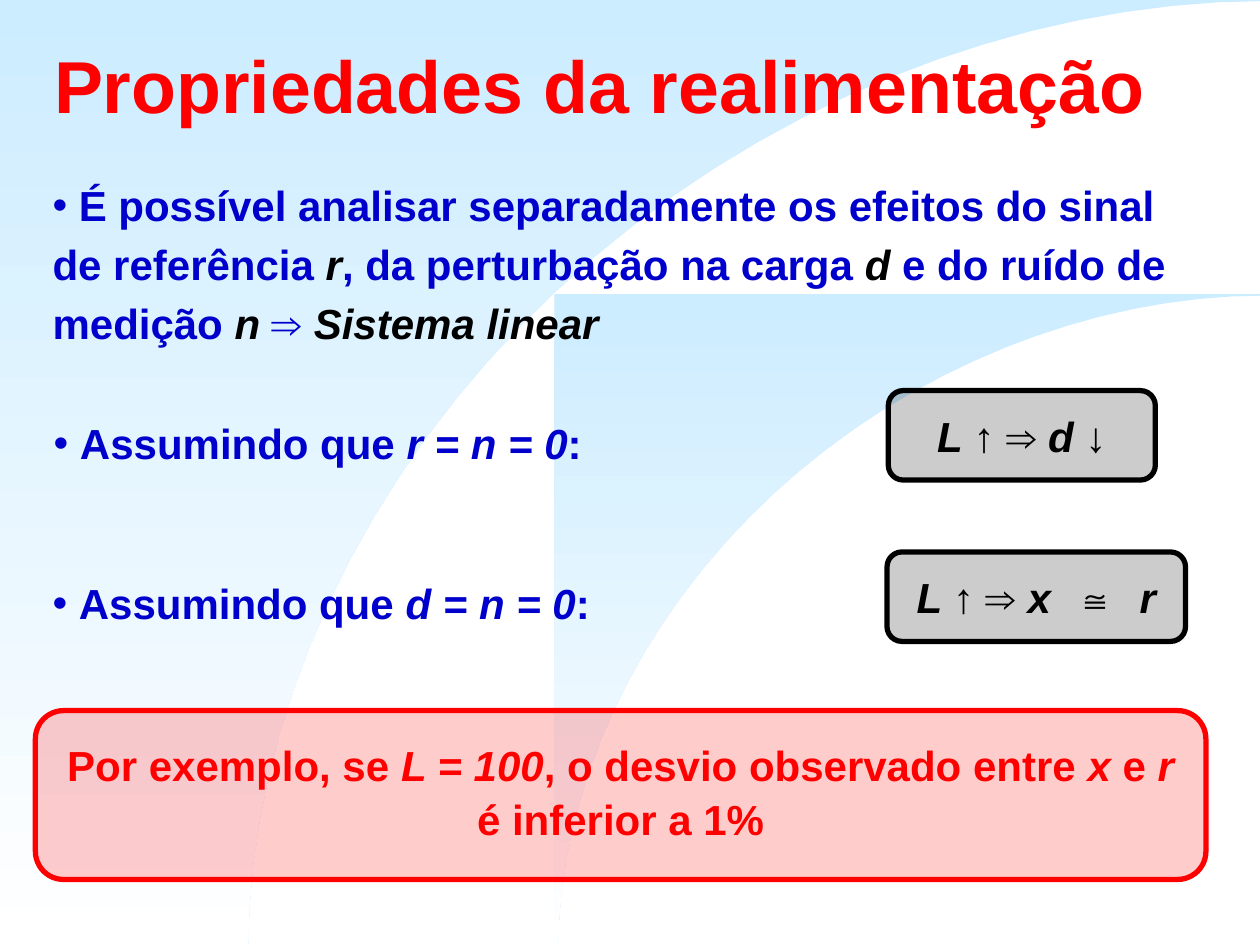
from math import cos, pi, sin

from lxml import etree
from pptx import Presentation
from pptx.dml.color import RGBColor
from pptx.enum.shapes import MSO_SHAPE
from pptx.enum.text import MSO_ANCHOR, PP_ALIGN
from pptx.oxml.ns import qn
from pptx.util import Pt

ROUNDED = MSO_SHAPE.ROUNDED_RECTANGLE
MIDDLE = MSO_ANCHOR.MIDDLE
CENTER = PP_ALIGN.CENTER
COLORS = {
    "sky": "CCECFF",
    "white": "FFFFFF",
    "red": "FF0000",
    "blue": "0000CC",
    "black": "000000",
}
WIDTH, HEIGHT = 720, 540
BULLET_INDENT = 15
LINE_GAP = 4.8
ARC_STEPS = 32
ARC_EXPONENT = 1.9  # slightly flatter than an ellipse


def rgb(name):
    return RGBColor.from_string(COLORS[name])


def write(frame, lines, size=24, bulleted=False, **formats):
    """Fill a frame with lines of (text, colour, italic) runs; only the first can be bulleted."""
    for index, runs in enumerate(lines):
        paragraph = frame.paragraphs[0] if index == 0 else frame.add_paragraph()
        if bulleted and index == 0:
            properties = paragraph._p.get_or_add_pPr()
            properties.set("marL", str(Pt(BULLET_INDENT)))
            properties.set("indent", str(-Pt(BULLET_INDENT)))
            etree.SubElement(properties, qn("a:buFont")).set("typeface", "Arial")
            etree.SubElement(properties, qn("a:buChar")).set("char", "•")
        if index:
            paragraph.space_before = Pt(LINE_GAP)
        for name, value in formats.items():
            setattr(paragraph, name, value)
        for text, color, italic in runs:
            run = paragraph.add_run()
            run.text = text
            font_values = {"name": "Arial", "size": Pt(size), "bold": True, "italic": italic}
            for name, value in font_values.items():
                setattr(run.font, name, value)
            run.font.color.rgb = rgb(color)


presentation = Presentation()
presentation.slide_width, presentation.slide_height = Pt(WIDTH), Pt(HEIGHT)
slide = presentation.slides.add_slide(presentation.slide_layouts[6])

# Background: two gradient areas, each cut out by a quarter arc
for left, top, arc_left, arc_top in [(0, 0, 141.8, 0.7), (316.8, 167.8, 319, 169)]:
    points = []
    for step in range(ARC_STEPS + 1):
        angle = pi / 2 * step / ARC_STEPS
        across = max(cos(angle), 0) ** (2 / ARC_EXPONENT)
        up = sin(angle) ** (2 / ARC_EXPONENT)
        points.append((WIDTH - (WIDTH - arc_left) * across, HEIGHT - (HEIGHT - arc_top) * up))
    points += [(WIDTH, top), (left, top), (left, HEIGHT)]
    points = [(Pt(x), Pt(y)) for x, y in points]
    builder = slide.shapes.build_freeform(*points[0])
    builder.add_line_segments(points[1:], close=True)
    area = builder.convert_to_shape()
    area.shadow.inherit = False
    area.line.fill.background()
    area.fill.gradient()
    area.fill.gradient_angle = 270
    for stop, color, position in zip(area.fill.gradient_stops, ("sky", "white"), (0, 1)):
        stop.color.rgb = rgb(color)
        stop.position = position

# Title and bulleted statements
title = [[("Propriedades da realimentação", "red", False)]]
linearity = [
    [("É possível analisar separadamente os efeitos do sinal", "blue", False)],
    [
        ("de referência ", "blue", False),
        ("r", "black", True),
        (", da perturbação na carga ", "blue", False),
        ("d", "black", True),
        (" e do ruído de", "blue", False),
    ],
    [
        ("medição ", "blue", False),
        ("n", "black", True),
        (" ⇒ ", "blue", False),
        ("Sistema linear", "black", True),
    ],
]
assumptions = [
    [[("Assumindo que ", "blue", False), (condition, "blue", True), (":", "blue", False)]]
    for condition in ("r = n = 0", "d = n = 0")
]
text_boxes = [
    (23.8, 18, 678, 60, title, 42, False),
    (23, 99.1, 670, 108, linearity, 24, True),
    (23.6, 235.2, 325, 40, assumptions[0], 24, True),
    (23, 326.7, 325, 40, assumptions[1], 24, True),
]
for left, top, width, height, lines, size, bulleted in text_boxes:
    box = slide.shapes.add_textbox(Pt(left), Pt(top), Pt(width), Pt(height))
    box.text_frame.word_wrap = True
    if not bulleted:
        box.text_frame.vertical_anchor = MIDDLE
    write(box.text_frame, lines, size, bulleted)

# Framed conclusions
load_effect = [
    [
        ("L ", "black", True),
        ("↑ ⇒ ", "black", False),
        ("d", "black", True),
        (" ↓", "black", False),
    ]
]
tracking = [[("L ", "black", True), ("↑ ⇒ ", "black", False), ("x  ≅  r", "black", True)]]
example = [
    [
        ("Por exemplo, se ", "red", False),
        ("L = 100", "red", True),
        (", o desvio observado entre ", "red", False),
        ("x", "red", True),
        (" e ", "red", False),
        ("r", "red", True),
    ],
    [("é inferior a 1%", "red", False)],
]
frames = [
    (507.6, 223.2, 152.6, 51.1, "black", load_effect, 1),
    (506.9, 315.4, 170.6, 51.1, "black", tracking, 1),
    (20.2, 406.1, 668.9, 96.5, "red", example, 0.9),
]
for left, top, width, height, color, lines, spacing in frames:
    frame = slide.shapes.add_shape(ROUNDED, Pt(left), Pt(top), Pt(width), Pt(height))
    frame.shadow.inherit = False
    frame.fill.solid()
    frame.fill.fore_color.rgb = rgb(color)
    fill_color = frame._element.spPr.find(qn("a:solidFill")).find(qn("a:srgbClr"))
    etree.SubElement(fill_color, qn("a:alpha")).set("val", "20000")
    frame.line.color.rgb = rgb(color)
    frame.line.width = Pt(3)
    frame.text_frame.word_wrap = False
    frame.text_frame.vertical_anchor = MIDDLE
    write(frame.text_frame, lines, alignment=CENTER, line_spacing=spacing)

presentation.save("out.pptx")
